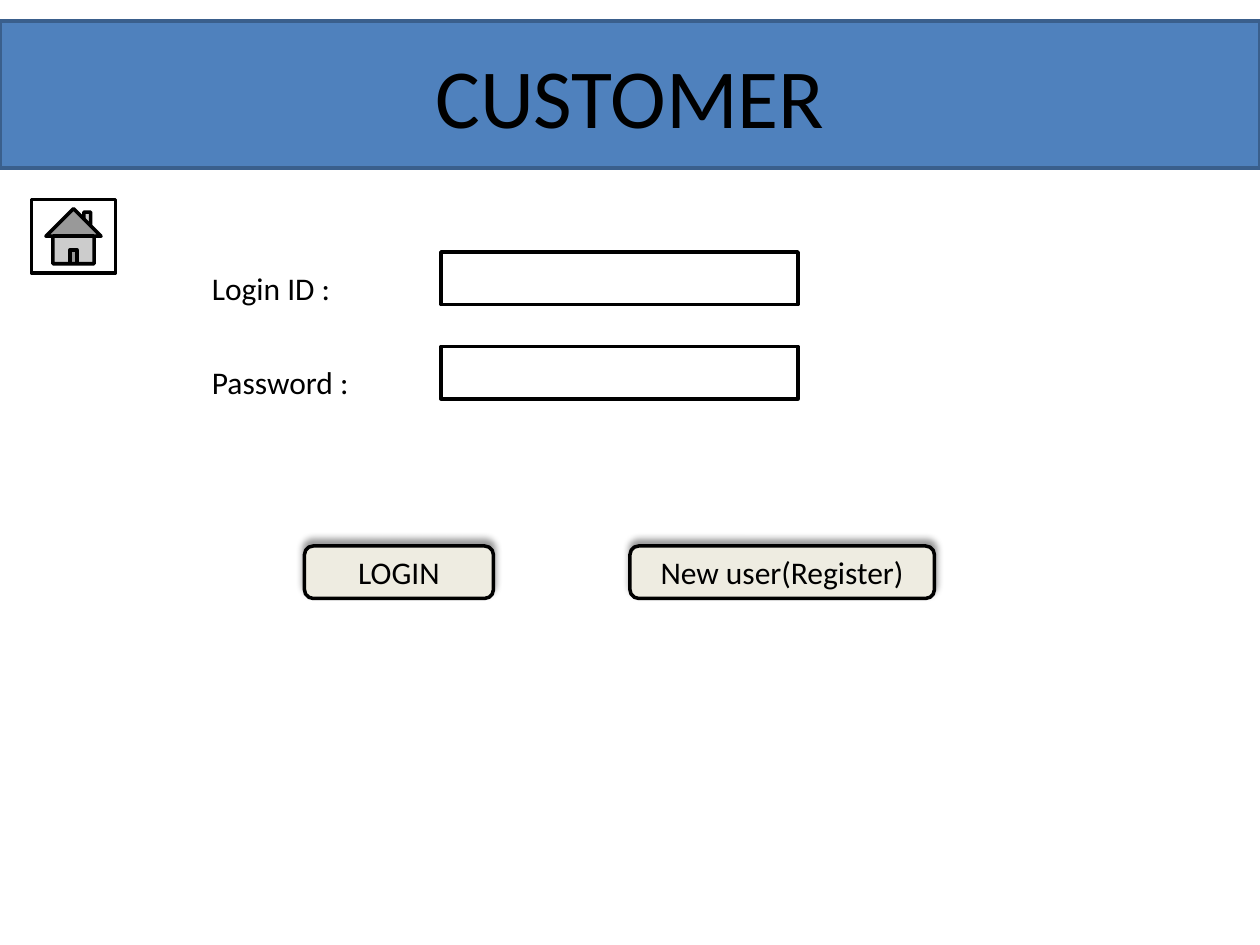
import pptx
import pptx.util
import pptx.dml.color
import pptx.enum.shapes
import pptx.enum.text
import pptx.oxml
import pptx.oxml.ns

HUES = {"band": "4F81BD", "edge": "3A5F8C", "key": "EEECE1",
        "ink": "000000", "paper": "FFFFFF"}
FONT = "Calibri"
KIND = pptx.enum.shapes.MSO_SHAPE
ALIGN = pptx.enum.text.PP_ALIGN
SHADOW = (
    '<a:outerShdw xmlns:a="http://schemas.openxmlformats.org/drawingml/2006/main"'
    ' blurRad="{blur}" dist="{dist}" dir="16200000" rotWithShape="0">'
    '<a:srgbClr val="{hue}"><a:alpha val="40000"/></a:srgbClr></a:outerShdw>')


def hue(name):
    return pptx.dml.color.RGBColor.from_string(HUES[name])


class Page:
    """Slide on a grid of 120 columns by 90 rows."""

    def __init__(self, deck):
        self.slide = deck.slides.add_slide(deck.slide_layouts[5])
        self.shapes = self.slide.shapes
        self.col = deck.slide_width / 120
        self.row = deck.slide_height / 90

    def box(self, x, y, wide, high):
        return (round(x * self.col), round(y * self.row),
                round(wide * self.col), round(high * self.row))

    def paint(self, shape, fill, line="ink"):
        shape.fill.solid()
        shape.fill.fore_color.rgb = hue(fill)
        shape.line.color.rgb = hue(line)
        shape.line.width = pptx.util.Pt(2)

    def words(self, shape, text, size=18, align=ALIGN.CENTER):
        frame = shape.text_frame
        frame.text = text
        frame.vertical_anchor = pptx.enum.text.MSO_ANCHOR.MIDDLE
        par = frame.paragraphs[0]
        par.alignment = align
        par.font.name = FONT
        par.font.size = pptx.util.Pt(size)
        par.font.color.rgb = hue("ink")
        return frame

    def title(self, text, *place):
        head = self.shapes.title
        head.left, head.top, head.width, head.height = self.box(*place)
        self.paint(head, "band", "edge")
        frame = self.words(head, text, 48)
        frame.auto_size = pptx.enum.text.MSO_AUTO_SIZE.NONE

    def block(self, kind, fill, *place):
        shape = self.shapes.add_shape(kind, *self.box(*place))
        shape.shadow.inherit = False
        self.paint(shape, fill)
        return shape

    def button(self, text, *place):
        shape = self.block(KIND.ROUNDED_RECTANGLE, "key", *place)
        self.words(shape, text)
        glow = SHADOW.format(blur=pptx.util.Pt(4), dist=pptx.util.Pt(3),
                             hue=HUES["ink"])
        effects = shape._element.spPr.find(pptx.oxml.ns.qn("a:effectLst"))
        effects.append(pptx.oxml.parse_xml(glow))

    def label(self, text, *place):
        shape = self.shapes.add_textbox(*self.box(*place))
        frame = self.words(shape, text, align=ALIGN.LEFT)
        frame.word_wrap = False
        frame.auto_size = pptx.enum.text.MSO_AUTO_SIZE.SHAPE_TO_FIT_TEXT


def main():
    deck = pptx.Presentation()
    deck.slide_width = pptx.util.Inches(10)
    deck.slide_height = pptx.util.Inches(7.5)
    page = Page(deck)

    # Heading band
    page.title("CUSTOMER", 0, 2, 120, 14)

    # Buttons
    page.button("LOGIN", 29, 52, 18, 5)
    page.button("New user(Register)", 60, 52, 29, 5)

    # Form fields with labels
    for i, (text, wide) in enumerate([("Login ID :", 13.9),
                                      ("Password :", 15.6)]):
        top = 24 + 9 * i
        page.block(KIND.RECTANGLE, "paper", 42, top, 34, 5)
        page.label(text, 19, top + 1, wide, 4.8)

    # Home button
    page.block(KIND.ACTION_BUTTON_HOME, "paper", 3, 19, 8, 7)

    deck.save("out.pptx")


if __name__ == "__main__":
    main()
